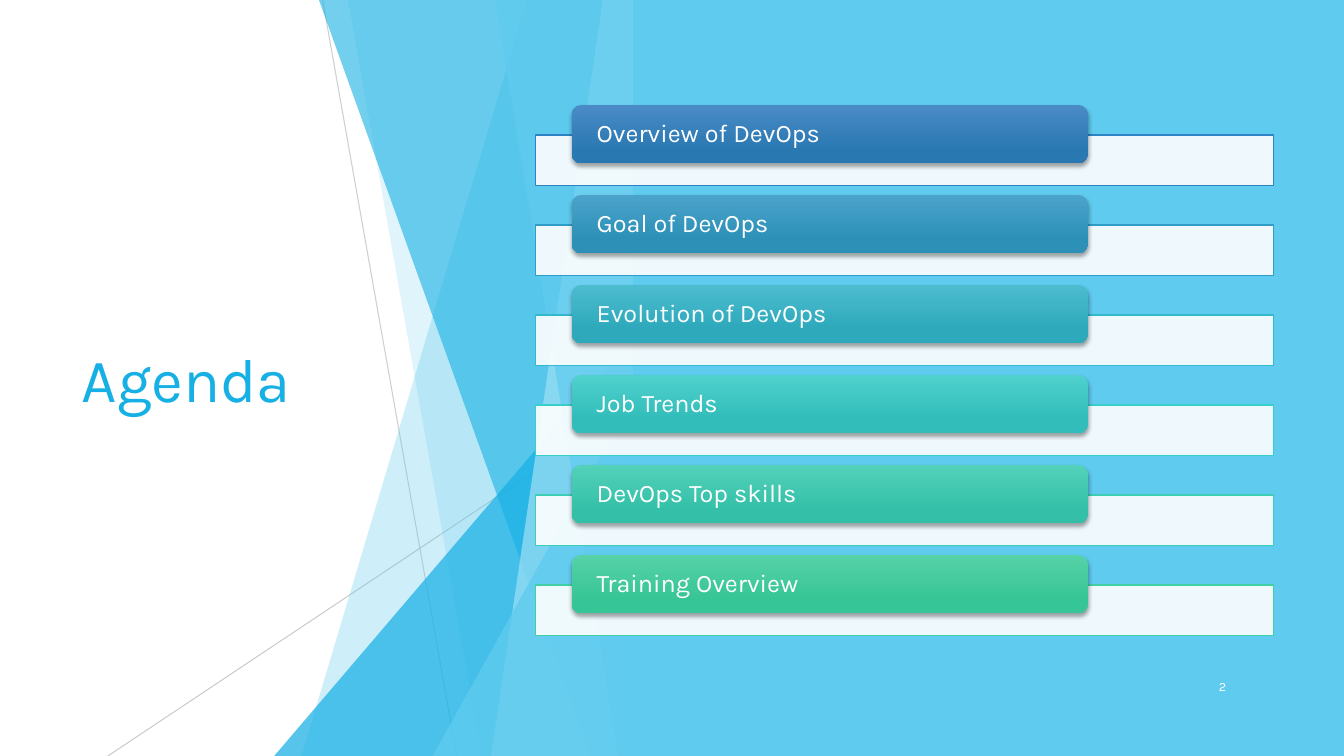
from lxml import etree
from pptx import Presentation
from pptx.dml.color import RGBColor
from pptx.enum.shapes import MSO_CONNECTOR, MSO_SHAPE
from pptx.enum.text import MSO_ANCHOR, PP_ALIGN
from pptx.oxml.ns import qn
from pptx.util import Inches, Pt

STRAIGHT = MSO_CONNECTOR.STRAIGHT
RECT = MSO_SHAPE.RECTANGLE
ROUND = MSO_SHAPE.ROUNDED_RECTANGLE
WEDGE = MSO_SHAPE.ISOSCELES_TRIANGLE
MIDDLE = MSO_ANCHOR.MIDDLE
LEFT, RIGHT = PP_ALIGN.LEFT, PP_ALIGN.RIGHT

FONT = "Karla"
WIDTH, HEIGHT = 13.33, 7.5
EDGE = 6.28
STEP = 0.893
COLORS = {
    "white": "FFFFFF",
    "black": "000000",
    "gray": "BFBFBF",
    "sky": "5FCBEF",
    "blue": "17B0E4",
    "pale": "9FE0F5",
}
TOPICS = [
    ("Overview of DevOps", "2E83C3", "4A8BC6", "2A78B2"),
    ("Goal of DevOps", "309DC8", "4BA3CB", "2C90B7"),
    ("Evolution of DevOps", "31B9CD", "4CBCCF", "2DA9BB"),
    ("Job Trends", "37CECB", "4FD0CD", "32BDBA"),
    ("DevOps Top skills", "3CCFB6", "53D1B9", "34C0A8"),
    ("Training Overview", "42D0A2", "56D2A7", "36C596"),
]


def rgb(color):
    return RGBColor.from_string(COLORS.get(color, color))


def fade(node, pct):
    color = node.find(".//" + qn("a:srgbClr"))
    etree.SubElement(color, qn("a:alpha"), val=str(pct * 1000))


def paint(shape, color, pct=100):
    shape.shadow.inherit = False
    shape.fill.solid()
    shape.fill.fore_color.rgb = rgb(color)
    shape.line.fill.background()
    if pct < 100:
        fade(shape._element.spPr.find(qn("a:solidFill")), pct)


def write(shape, text, size=18, color="white", align=LEFT, inset=0.1, space=1.0):
    frame = shape.text_frame
    frame.word_wrap = True
    frame.vertical_anchor = MIDDLE
    frame.margin_left = frame.margin_right = Inches(inset)
    para = frame.paragraphs[0]
    para.alignment = align
    para.line_spacing = space
    run = para.add_run()
    run.text = text
    run.font.size = Pt(size)
    run.font.name = FONT
    run.font.color.rgb = rgb(color)


def add_box(slide, kind, left, top, width, height, color, pct=100):
    box = slide.shapes.add_shape(
        kind, Inches(left), Inches(top), Inches(width), Inches(height))
    paint(box, color, pct)
    return box


def add_line(slide, x1, y1, x2, y2, pct):
    line = slide.shapes.add_connector(
        STRAIGHT, Inches(x1), Inches(y1), Inches(x2), Inches(y2))
    line.line.color.rgb = rgb("gray")
    line.line.width = Pt(0.75)
    props = line._element.spPr
    fade(props.find(qn("a:ln")), pct)
    etree.SubElement(props, qn("a:effectLst"))


def add_shard(slide, top, bottom, color, pct):
    spots = [(top, -0.01), (EDGE, -0.01), (EDGE, HEIGHT), (bottom, HEIGHT)]
    spots = [(Inches(x), Inches(y)) for x, y in spots]
    path = slide.shapes.build_freeform(*spots[0])
    path.add_line_segments(spots[1:], close=True)
    paint(path.convert_to_shape(), color, pct)


def add_wedge(slide, left, top, color, pct):
    wedge = add_box(slide, WEDGE, left, top, EDGE - left, HEIGHT - top, color, pct)
    wedge.adjustments[0] = 1


def add_shade(shape):
    effects = shape._element.spPr.find(qn("a:effectLst"))
    shade = etree.SubElement(
        effects, qn("a:outerShdw"), blurRad=str(Pt(3)), dist=str(Pt(2)),
        dir="5400000", rotWithShape="0")
    etree.SubElement(shade, qn("a:srgbClr"), val=COLORS["black"])
    fade(shade, 35)


def add_topic(slide, row, text, edge, light, dark):
    shift = row * STEP
    bar = add_box(slide, RECT, 5.31, 1.34 + shift, 7.32, 0.5, "white", 90)
    bar.line.color.rgb = rgb(edge)
    bar.line.width = Pt(1)
    label = add_box(slide, ROUND, 5.67, 1.04 + shift, 5.12, 0.58, dark)
    label.fill.gradient()
    label.fill.gradient_angle = 270
    stops = label.fill.gradient_stops
    for stop, spot, color in zip(stops, (0, 0.78), (light, dark)):
        stop.position = spot
        stop.color.rgb = rgb(color)
    add_shade(label)
    write(label, text, inset=0.22, space=0.9)


def add_facets(slide):
    add_line(slide, 3.2, 0, 4.53, HEIGHT, 75)
    add_line(slide, EDGE, 4.03, 1.07, HEIGHT, 80)
    add_shard(slide, 5.23, 2.99, "sky", 30)
    add_shard(slide, 3.45, 4.78, "sky", 20)
    add_wedge(slide, 2.72, 3.33, "blue", 72)
    add_shard(slide, 3.16, 5.86, "blue", 60)
    add_shard(slide, 5.98, 4.87, "pale", 70)
    add_shard(slide, 4.91, 6.13, "sky", 65)
    add_wedge(slide, 4.29, 3.93, "sky", 80)


def main():
    deck = Presentation()
    deck.slide_width, deck.slide_height = Inches(WIDTH), Inches(HEIGHT)
    slide = deck.slides.add_slide(deck.slide_layouts[5])
    slide.background.fill.solid()
    slide.background.fill.fore_color.rgb = rgb("white")

    title = slide.shapes.title
    title.left, title.top = Inches(0.71), Inches(1.51)
    title.width, title.height = Inches(3.88), Inches(4.48)
    write(title, "Agenda", size=44, color="blue")

    add_facets(slide)
    add_box(slide, RECT, EDGE, 0, WIDTH - EDGE, HEIGHT, "sky")
    number = slide.shapes.add_textbox(
        Inches(11.51), Inches(6.61), Inches(0.75), Inches(0.4))
    write(number, "2", size=9, align=RIGHT)
    for row, topic in enumerate(TOPICS):
        add_topic(slide, row, *topic)
    deck.save("out.pptx")


if __name__ == "__main__":
    main()
